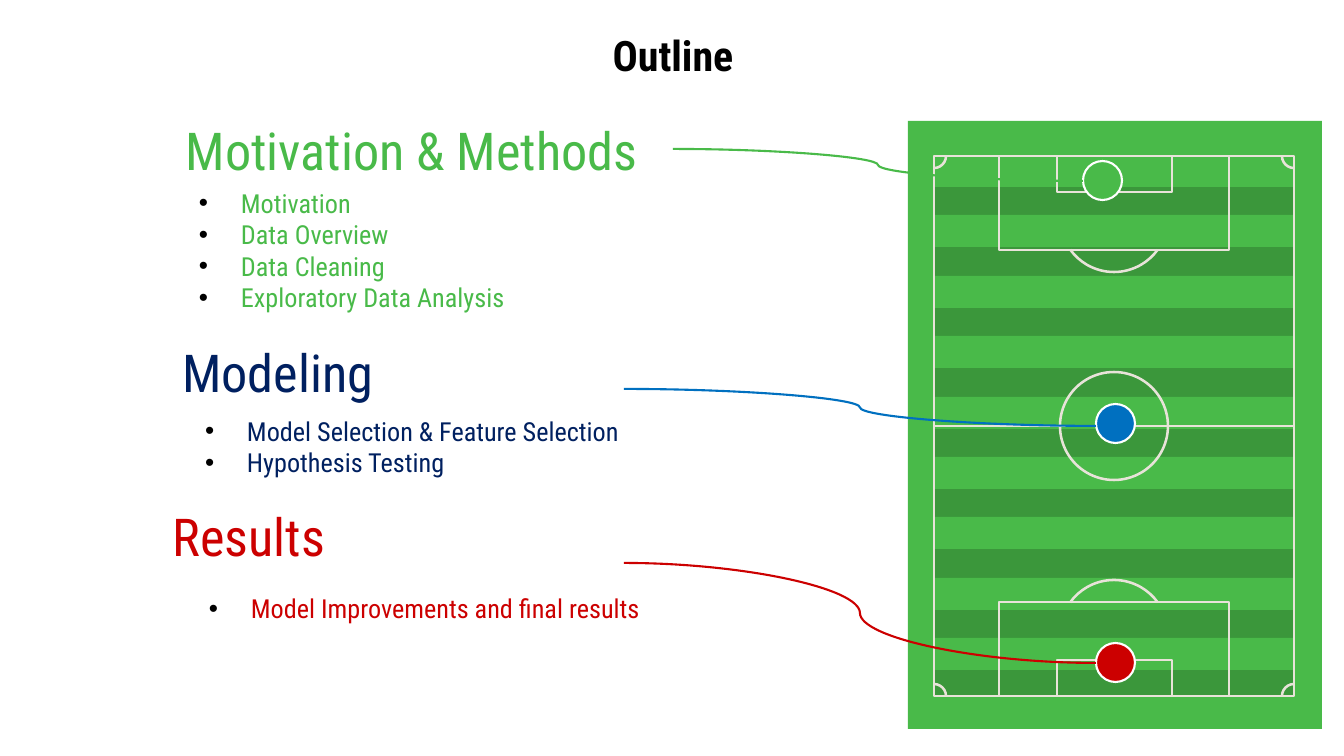
from lxml.etree import SubElement
from pptx import Presentation
from pptx.dml.color import RGBColor
from pptx.enum.shapes import MSO_CONNECTOR, MSO_SHAPE
from pptx.enum.text import MSO_ANCHOR, MSO_AUTO_SIZE, PP_ALIGN
from pptx.oxml.ns import qn
from pptx.util import Pt

GRASS = RGBColor(0x49, 0xBA, 0x49)
DARK_GRASS = RGBColor(0x3B, 0x97, 0x3B)
CHALK = RGBColor(0xE8, 0xE3, 0xD9)
NAVY = RGBColor(0x00, 0x20, 0x60)
BLUE = RGBColor(0x00, 0x70, 0xC0)
RED = RGBColor(0xCC, 0x00, 0x00)
WHITE = RGBColor(0xFF, 0xFF, 0xFF)
BLACK = RGBColor(0x00, 0x00, 0x00)

EMU_PER_PX = 914400 / 100.8


def px(length):
    return round(length * EMU_PER_PX)


def write(frame, lines, *, size, color, font, bold=False, align=PP_ALIGN.LEFT,
          spacing=1.0, margins=(0, 13, 0, 13), hanging=None):
    """Fill a text frame, one paragraph a line; hanging turns bullets on."""
    frame.word_wrap = True
    frame.auto_size = MSO_AUTO_SIZE.NONE
    frame.vertical_anchor = MSO_ANCHOR.MIDDLE
    (frame.margin_left, frame.margin_top,
     frame.margin_right, frame.margin_bottom) = map(px, margins)
    frame.text = "\n".join(lines)
    for paragraph in frame.paragraphs:
        if hanging:
            props = paragraph._p.get_or_add_pPr()
            props.set("marL", str(px(hanging)))
            props.set("indent", str(-px(hanging)))
            bullet_color = SubElement(props, qn("a:buClr"))
            SubElement(bullet_color, qn("a:srgbClr"), val=str(BLACK))
            SubElement(props, qn("a:buFont"), typeface="Arial")
            SubElement(props, qn("a:buChar"), char="•")
        paragraph.alignment = align
        paragraph.line_spacing = spacing
        paragraph.space_before = Pt(0)
        paragraph.font.size = Pt(size)
        paragraph.font.name = font
        paragraph.font.bold = bold
        paragraph.font.color.rgb = color


class OutlineSlide:
    FONT = "Roboto Condensed"
    TITLE_SIZE, HEADING_SIZE, LIST_SIZE = 30, 37.3, 18.7
    LINE_WIDTH, CHALK_WIDTH = 1.5, 1.8

    def __init__(self, deck):
        self.slide = deck.slides.add_slide(deck.slide_layouts[4])
        self.shapes = self.slide.shapes

    def place(self, holder, box):
        holder.left, holder.top, holder.width, holder.height = map(px, box)

    def title(self, text, box):
        self.place(self.shapes.title, box)
        write(self.shapes.title.text_frame, [text], size=self.TITLE_SIZE,
              color=BLACK, font=self.FONT, bold=True, align=PP_ALIGN.CENTER,
              spacing=0.5, margins=(10, 10, 10, 14))

    def heading(self, text, box, color):
        label = self.shapes.add_textbox(*map(px, box))
        write(label.text_frame, [text], size=self.HEADING_SIZE, color=color,
              font=self.FONT, align=PP_ALIGN.CENTER)

    def topics(self, index, lines, box, color):
        body = self.slide.placeholders[index]
        self.place(body, box)
        write(body.text_frame, lines, size=self.LIST_SIZE, color=color,
              font=self.FONT, hanging=42)

    def shape(self, kind, box, fill=None, line=None, width=LINE_WIDTH):
        item = self.shapes.add_shape(kind, *map(px, box))
        item.shadow.inherit = False
        if fill is None:
            item.fill.background()
        else:
            item.fill.solid()
            item.fill.fore_color.rgb = fill
        if line is None:
            item.line.fill.background()
        else:
            item.line.color.rgb = line
            item.line.width = Pt(width)
        return item

    def marking(self, kind, box):
        return self.shape(kind, box, line=CHALK, width=self.CHALK_WIDTH)

    def arc(self, x, y, radius, start, end):
        curve = self.marking(MSO_SHAPE.ARC,
                             (x - radius, y - radius, 2 * radius, 2 * radius))
        # Angles are stored in 60000ths of a degree
        curve.adjustments[0] = start * 0.6
        curve.adjustments[1] = end * 0.6

    def connector(self, kind, start, end, color, width):
        link = self.shapes.add_connector(kind, *map(px, start + end))
        link.line.color.rgb = color
        link.line.width = Pt(width)
        SubElement(link._element.spPr, qn("a:effectLst"))


def draw_pitch(page):
    left, top, width, height = 934, 156, 360, 540
    right, bottom = left + width, top + height
    middle_x, middle_y = left + width // 2, top + height // 2
    box_kind = MSO_SHAPE.RECTANGLE

    # Grass and stripes
    page.shape(box_kind, (908, 121, 414, 608), GRASS)
    page.shape(box_kind, (left, top, width, height), DARK_GRASS)
    for stripe in range(9):
        page.shape(box_kind, (left, 155 + round(stripe * 483 / 8), width, 32), GRASS)

    # Touchlines, halfway line and centre circle
    page.marking(box_kind, (left, top, width, height))
    page.connector(MSO_CONNECTOR.STRAIGHT, (left, middle_y), (right, middle_y),
                   CHALK, page.CHALK_WIDTH)
    page.marking(MSO_SHAPE.OVAL, (middle_x - 54, middle_y - 54, 108, 108))

    # Penalty and goal areas at both ends
    for area_width, depth in ((230, 94), (115, 36)):
        for area_top in (top, bottom - depth):
            page.marking(box_kind, (middle_x - area_width // 2, area_top,
                                    area_width, depth))
    page.arc(middle_x, top + 62, 54, 36, 144)
    page.arc(middle_x, bottom - 62, 54, 216, 324)

    # Corner arcs
    corners = ((left, top), (right, top), (right, bottom), (left, bottom))
    for turn, (x, y) in enumerate(corners):
        page.arc(x, y, 12, turn * 90, (turn + 1) * 90 % 360)


# heading, its box, text colour, topics, their box, player colour,
# player position, curve start and end
SECTIONS = (
    ("Motivation & Methods", (152, 116, 520, 67), GRASS,
     ["Motivation", "Data Overview", "Data Cleaning", "Exploratory Data Analysis"],
     (199, 213, 456, 74), GRASS, (1083, 161), (1083, 181), (673, 149)),
    ("Modeling", (0, 339, 556, 66), NAVY,
     ["Model Selection & Feature Selection", "Hypothesis Testing"],
     (205, 427, 430, 39), BLUE, (1096, 404), (1096, 426), (624, 389)),
    ("Results", (71, 516, 356, 39), RED,
     ["Model Improvements and final results"],
     (209, 587, 504, 42), RED, (1096, 643), (1096, 663), (624, 563)),
)


def main():
    deck = Presentation()
    deck.slide_width, deck.slide_height = px(1344), px(756)
    page = OutlineSlide(deck)
    page.title("Outline", (106, 35, 1134, 61))
    draw_pitch(page)

    # Sections, each tied to a player on the pitch
    for index, section in enumerate(SECTIONS, start=1):
        (heading, heading_box, color, topics, topics_box,
         player_color, player, curve_start, curve_end) = section
        page.heading(heading, heading_box, color)
        page.topics(index, topics, topics_box, color)
        page.shape(MSO_SHAPE.OVAL, player + (39, 39), player_color, WHITE)
        page.connector(MSO_CONNECTOR.CURVE, curve_start, curve_end,
                       player_color, page.LINE_WIDTH)

    # The layout's fourth body stays unused
    spare = page.slide.placeholders[4]._element
    spare.getparent().remove(spare)
    deck.save("out.pptx")


if __name__ == "__main__":
    main()
